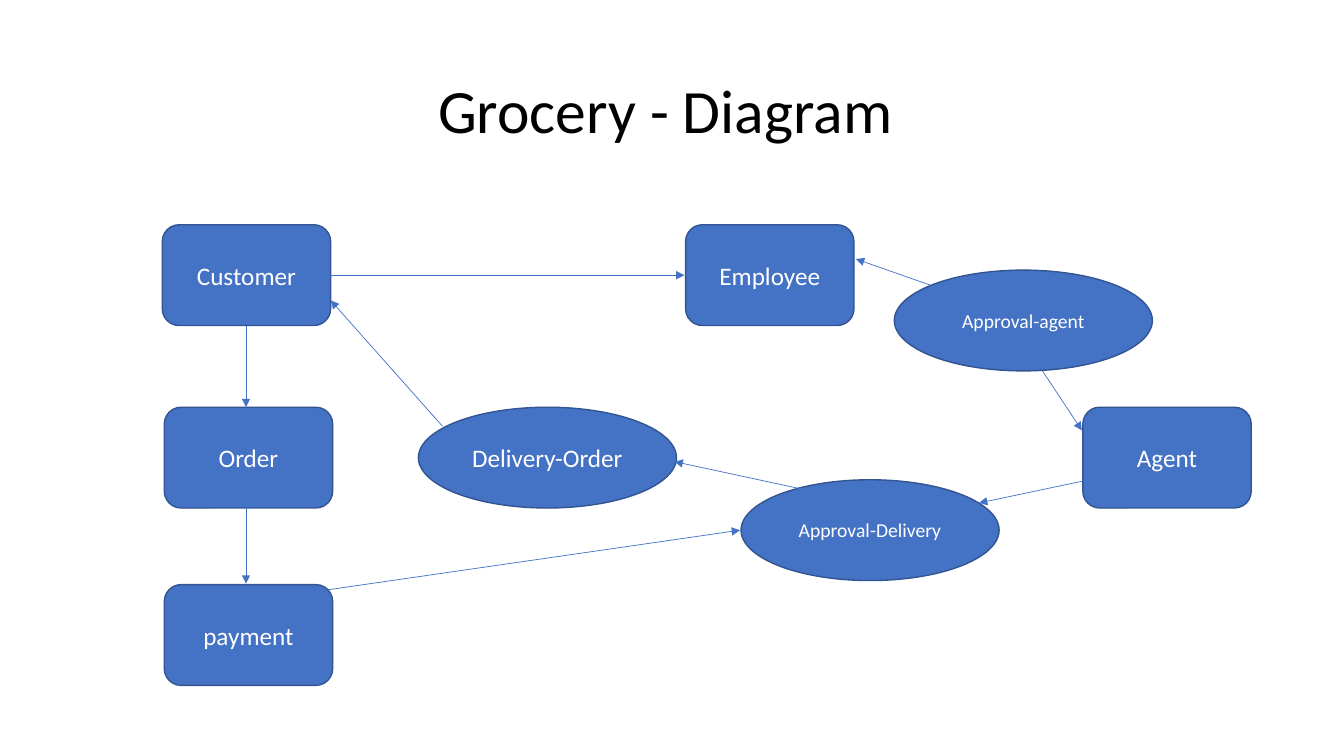
from lxml.etree import SubElement
from pptx import Presentation
from pptx.dml.color import RGBColor
from pptx.enum.shapes import MSO_CONNECTOR as Connector, MSO_SHAPE as Shape
from pptx.enum.text import MSO_ANCHOR as Anchor, PP_ALIGN as Align
from pptx.oxml.ns import qn
from pptx.util import Inches, Pt

BLUE = RGBColor(0x44, 0x72, 0xC4)
OUTLINE = RGBColor(0x32, 0x54, 0x91)
WHITE = RGBColor(0xFF, 0xFF, 0xFF)
BLACK = RGBColor(0, 0, 0)
FONT = "Calibri"

ENTITY_WIDTH, ACTION_WIDTH, NODE_HEIGHT = 1.67, 2.56, 1

# text, left, top
ENTITIES = [
    ("Customer", 1.61, 2.23),
    ("Employee", 6.8, 2.23),
    ("Agent", 10.74, 4.04),
    ("Order", 1.63, 4.04),
    ("payment", 1.63, 5.8),
]
# text, left, top, font size
ACTIONS = [
    ("Delivery-Order", 4.15, 4.04, 18),
    ("Approval-Delivery", 7.35, 4.76, 14),
    ("Approval-agent", 8.87, 2.68, 14),
]
# start, end
ARROWS = [
    ((3.1, 2.73), (6.79, 2.73)),    # Customer to Employee
    ((2.44, 3.23), (2.44, 4.04)),   # Customer to Order
    ((2.44, 4.99), (2.44, 5.79)),   # Order to payment
    ((3.26, 5.85), (7.34, 5.26)),   # payment to Approval-Delivery
    ((10.34, 3.68), (10.73, 4.27)),  # Approval-agent to Agent
    ((9.23, 2.83), (8.49, 2.57)),   # Approval-agent to Employee
    ((10.8, 4.76), (9.71, 4.99)),   # Agent to Approval-Delivery
    ((7.99, 4.86), (6.69, 4.58)),   # Approval-Delivery to Delivery-Order
    ((4.39, 4.23), (3.28, 2.98)),   # Delivery-Order to Customer
]


def write_text(box, text, size=18, color=WHITE, spacing=1.0):
    """Put one centred line of text in the middle of a box."""
    frame = box.text_frame
    frame.word_wrap = True
    frame.vertical_anchor = Anchor.MIDDLE
    para = frame.paragraphs[0]
    para.alignment = Align.CENTER
    para.line_spacing = spacing
    span = para.add_run()
    span.text = text
    span.font.name = FONT
    span.font.size = Pt(size)
    span.font.color.rgb = color


def add_title(page, text):
    """Add the slide heading."""
    box = page.shapes.add_textbox(Inches(0.92), Inches(0.4), Inches(11.5), Inches(1.45))
    write_text(box, text, size=44, color=BLACK, spacing=0.9)


def add_node(page, kind, text, left, top, width, size=18):
    """Add a filled and labelled node of the diagram."""
    node = page.shapes.add_shape(
        kind, Inches(left), Inches(top), Inches(width), Inches(NODE_HEIGHT))
    node.shadow.inherit = False
    node.fill.solid()
    node.fill.fore_color.rgb = BLUE
    node.line.color.rgb = OUTLINE
    node.line.width = Pt(1)
    write_text(node, text, size=size)


def add_arrow(page, start, end):
    """Add a thin straight arrow that points at its end."""
    points = [Inches(value) for value in (*start, *end)]
    arrow = page.shapes.add_connector(Connector.STRAIGHT, *points)
    arrow.line.color.rgb = BLUE
    arrow.line.width = Pt(0.5)
    SubElement(arrow.line._get_or_add_ln(), qn("a:tailEnd"), type="triangle")
    SubElement(arrow._element.spPr, qn("a:effectLst"))


def main():
    """Build the diagram slide and save it."""
    deck = Presentation()
    deck.slide_width, deck.slide_height = Inches(13.33), Inches(7.5)
    page = deck.slides.add_slide(deck.slide_layouts[6])
    add_title(page, "Grocery - Diagram ")
    for text, left, top in ENTITIES:
        add_node(page, Shape.ROUNDED_RECTANGLE, text, left, top, ENTITY_WIDTH)
    for text, left, top, size in ACTIONS:
        add_node(page, Shape.OVAL, text, left, top, ACTION_WIDTH, size=size)
    for start, end in ARROWS:
        add_arrow(page, start, end)
    deck.save("out.pptx")


main()
